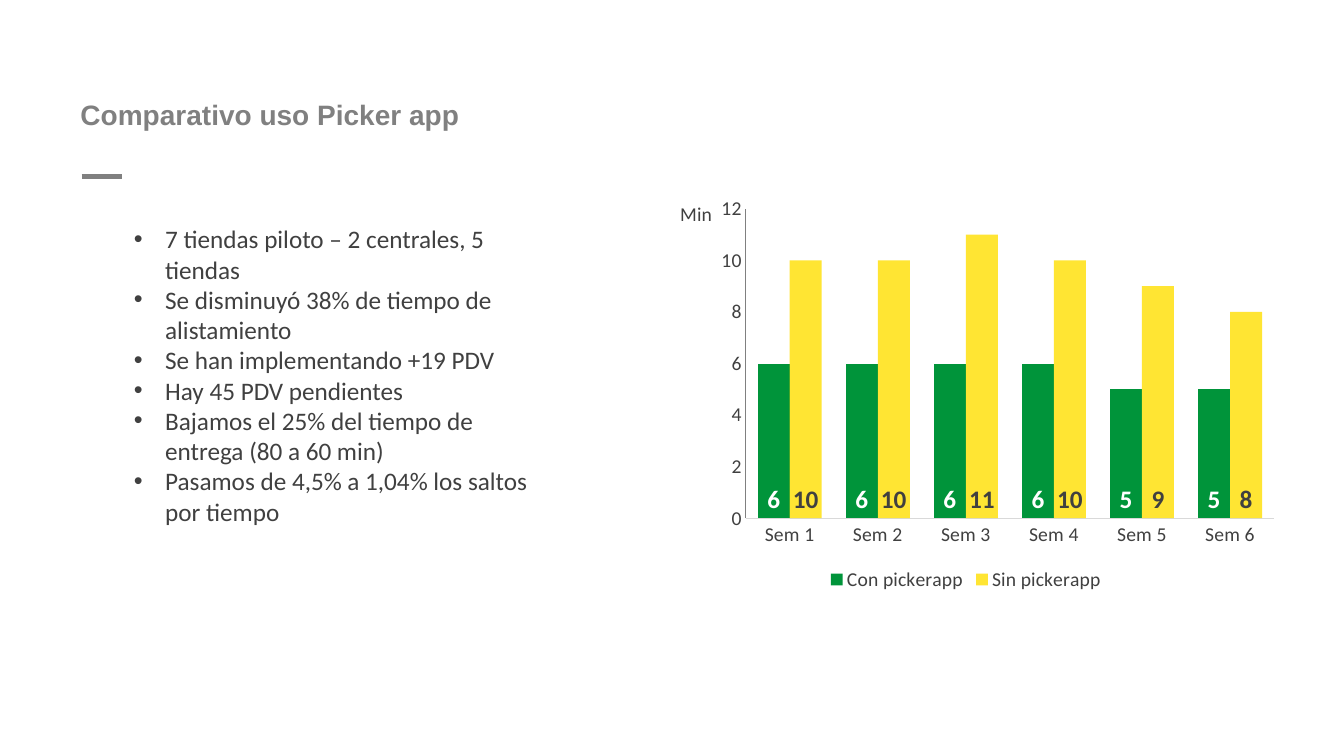
from dataclasses import dataclass
from typing import Any

from lxml.etree import SubElement
from pptx import Presentation
from pptx.chart.data import CategoryChartData
from pptx.dml.color import RGBColor
from pptx.enum.chart import XL_CHART_TYPE, XL_LABEL_POSITION, XL_LEGEND_POSITION, XL_TICK_MARK
from pptx.enum.shapes import MSO_CONNECTOR
from pptx.enum.text import MSO_ANCHOR
from pptx.oxml import parse_xml
from pptx.oxml.ns import nsdecls, qn
from pptx.util import Inches, Pt


@dataclass(frozen=True)
class Theme:
    heading_font: str = "Arial"
    body_font: str = "Calibri"
    gray: str = "808080"
    dark: str = "404040"
    light: str = "D9D9D9"
    white: str = "FFFFFF"
    green: str = "00943A"
    yellow: str = "FFDF00"
    heading_size: int = 20
    body_size: int = 18
    chart_size: int = 14


@dataclass(frozen=True)
class TextBlock:
    left: float
    top: float
    width: float
    height: float
    lines: tuple[str, ...]
    font: str
    size: int
    color: str
    bold: bool = False
    bulleted: bool = False
    anchor: MSO_ANCHOR = MSO_ANCHOR.TOP


@dataclass(frozen=True)
class ColumnSeries:
    name: str
    values: tuple[int, ...]
    color: str
    label_color: str
    opacity: int = 100


THEME = Theme()
BULLET_INDENT = 0.31
WEEKS = [f"Sem {number}" for number in range(1, 7)]

TEXT_BLOCKS = (
    TextBlock(0.7, 0.83, 5.24, 0.52, ("Comparativo uso Picker app",), THEME.heading_font,
              THEME.heading_size, THEME.gray, bold=True, anchor=MSO_ANCHOR.BOTTOM),
    TextBlock(1.23, 2.17, 4.35, 4.04, (
        "7 tiendas piloto – 2 centrales, 5 tiendas",
        "Se disminuyó 38% de tiempo de alistamiento",
        "Se han implementando +19 PDV",
        "Hay 45 PDV pendientes",
        "Bajamos el 25% del tiempo de entrega (80 a 60 min)",
        "Pasamos de 4,5% a 1,04% los saltos por tiempo",
    ), THEME.body_font, THEME.body_size, THEME.dark, bulleted=True),
)

COLUMN_SERIES = (
    ColumnSeries("Con pickerapp", (6, 6, 6, 6, 5, 5), THEME.green, THEME.white),
    ColumnSeries("Sin pickerapp", (10, 10, 11, 10, 9, 8), THEME.yellow, THEME.dark, opacity=80),
)


def set_attributes(target: Any, formats: dict[str, Any]) -> None:
    for name, value in formats.items():
        setattr(target, name, value)


def style_font(font: Any, name: str, size: int, color: str, bold: bool = False) -> None:
    set_attributes(font, {"name": name, "size": Pt(size), "bold": bold})
    font.color.rgb = RGBColor.from_string(color)


def style_line(line: Any, color: str, width: float) -> None:
    line.color.rgb = RGBColor.from_string(color)
    line.width = Pt(width)


def add_bullet(paragraph: Any) -> None:
    properties = paragraph._p.get_or_add_pPr()
    indent = Inches(BULLET_INDENT)
    properties.set("marL", str(indent))
    properties.set("indent", str(-indent))
    SubElement(properties, qn("a:buFont")).set("typeface", "Arial")
    SubElement(properties, qn("a:buChar")).set("char", "•")


def add_text(slide: Any, block: TextBlock) -> None:
    shape = slide.shapes.add_textbox(Inches(block.left), Inches(block.top),
                                     Inches(block.width), Inches(block.height))
    frame = shape.text_frame
    set_attributes(frame, {"word_wrap": True, "vertical_anchor": block.anchor})
    for index, line in enumerate(block.lines):
        paragraph = frame.add_paragraph() if index else frame.paragraphs[0]
        run = paragraph.add_run()
        run.text = line
        style_font(run.font, block.font, block.size, block.color, block.bold)
        if block.bulleted:
            add_bullet(paragraph)


def add_heading_rule(slide: Any) -> None:
    rule = slide.shapes.add_connector(MSO_CONNECTOR.STRAIGHT, Inches(0.81), Inches(1.75),
                                      Inches(1.21), Inches(1.75))
    style_line(rule.line, THEME.gray, 3)
    SubElement(rule._element.spPr, qn("a:effectLst"))


def manual_layout(formats: dict[str, Any]) -> Any:
    entries = "".join(f'<c:{name} val="{value}"/>' for name, value in formats.items())
    return parse_xml(f'<c:layout {nsdecls("c")}><c:manualLayout>{entries}'
                     "</c:manualLayout></c:layout>")


def replace_layout(parent: Any, layout: Any, position: int) -> None:
    for previous in parent.findall(qn("c:layout")):
        parent.remove(previous)
    parent.insert(position, layout)


def style_axes(chart: Any) -> None:
    for axis, color in ((chart.category_axis, THEME.light), (chart.value_axis, THEME.gray)):
        set_attributes(axis, {
            "has_major_gridlines": False,
            "major_tick_mark": XL_TICK_MARK.NONE,
            "minor_tick_mark": XL_TICK_MARK.NONE,
        })
        style_line(axis.format.line, color, 0.75)
    value_axis = chart.value_axis
    set_attributes(value_axis, {"minimum_scale": 0, "maximum_scale": 12, "major_unit": 2})
    set_attributes(value_axis.tick_labels, {"number_format": "0", "number_format_is_linked": False})

    title = value_axis.axis_title
    title.text_frame.text = "Min"
    style_font(title.text_frame.paragraphs[0].runs[0].font, THEME.body_font,
               THEME.chart_size, THEME.dark)
    body = title.text_frame._txBody.bodyPr
    body.set("rot", "0")
    body.set("vert", "horz")
    replace_layout(title._element, manual_layout(
        {"xMode": "edge", "yMode": "edge", "x": 0.04, "y": 0.02}), 1)


def style_series(series: Any, column: ColumnSeries) -> None:
    fill = series.format.fill
    fill.solid()
    fill.fore_color.rgb = RGBColor.from_string(column.color)
    if column.opacity < 100:
        color = series._element.spPr.find(f".//{qn('a:srgbClr')}")
        SubElement(color, qn("a:alpha")).set("val", str(column.opacity * 1000))
    labels = series.data_labels
    set_attributes(labels, {
        "show_value": True,
        "position": XL_LABEL_POSITION.INSIDE_BASE,
        "number_format": "0",
        "number_format_is_linked": False,
    })
    style_font(labels.font, THEME.body_font, THEME.body_size, column.label_color, bold=True)


def add_time_chart(slide: Any) -> None:
    data = CategoryChartData(number_format="0")
    data.categories = WEEKS
    for column in COLUMN_SERIES:
        data.add_series(column.name, column.values)
    chart = slide.shapes.add_chart(XL_CHART_TYPE.COLUMN_CLUSTERED, Inches(6.46), Inches(1.87),
                                   Inches(6.24), Inches(4.04), data).chart
    style_font(chart.font, THEME.body_font, THEME.chart_size, THEME.dark)
    set_attributes(chart, {"has_title": False, "has_legend": True})
    set_attributes(chart.legend, {"position": XL_LEGEND_POSITION.BOTTOM, "include_in_layout": False})
    plot = chart.plots[0]
    set_attributes(plot, {"gap_width": 75, "overlap": 0, "vary_by_categories": False})
    for series, column in zip(plot.series, COLUMN_SERIES):
        style_series(series, column)
    style_axes(chart)
    plot_area = chart._chartSpace.find(f".//{qn('c:plotArea')}")
    replace_layout(plot_area, manual_layout(
        {"layoutTarget": "inner", "xMode": "edge", "yMode": "edge",
         "x": 0.15, "y": 0.05, "w": 0.84, "h": 0.76}), 0)


def main() -> None:
    presentation = Presentation()
    set_attributes(presentation, {"slide_width": Inches(13.33), "slide_height": Inches(7.5)})
    slide = presentation.slides.add_slide(presentation.slide_layouts[6])
    add_heading_rule(slide)
    for block in TEXT_BLOCKS:
        add_text(slide, block)
    add_time_chart(slide)
    presentation.save("out.pptx")


if __name__ == "__main__":
    main()
